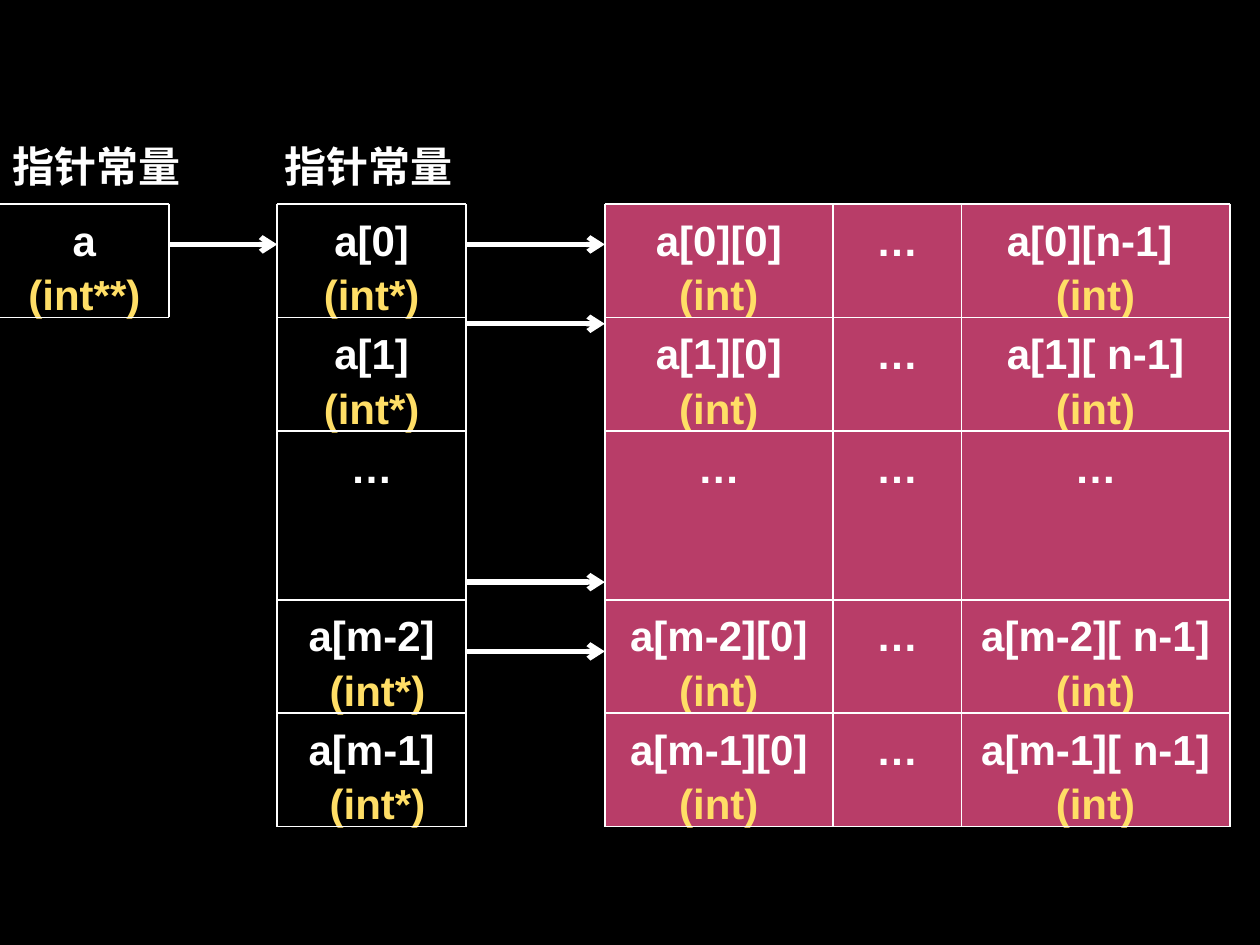
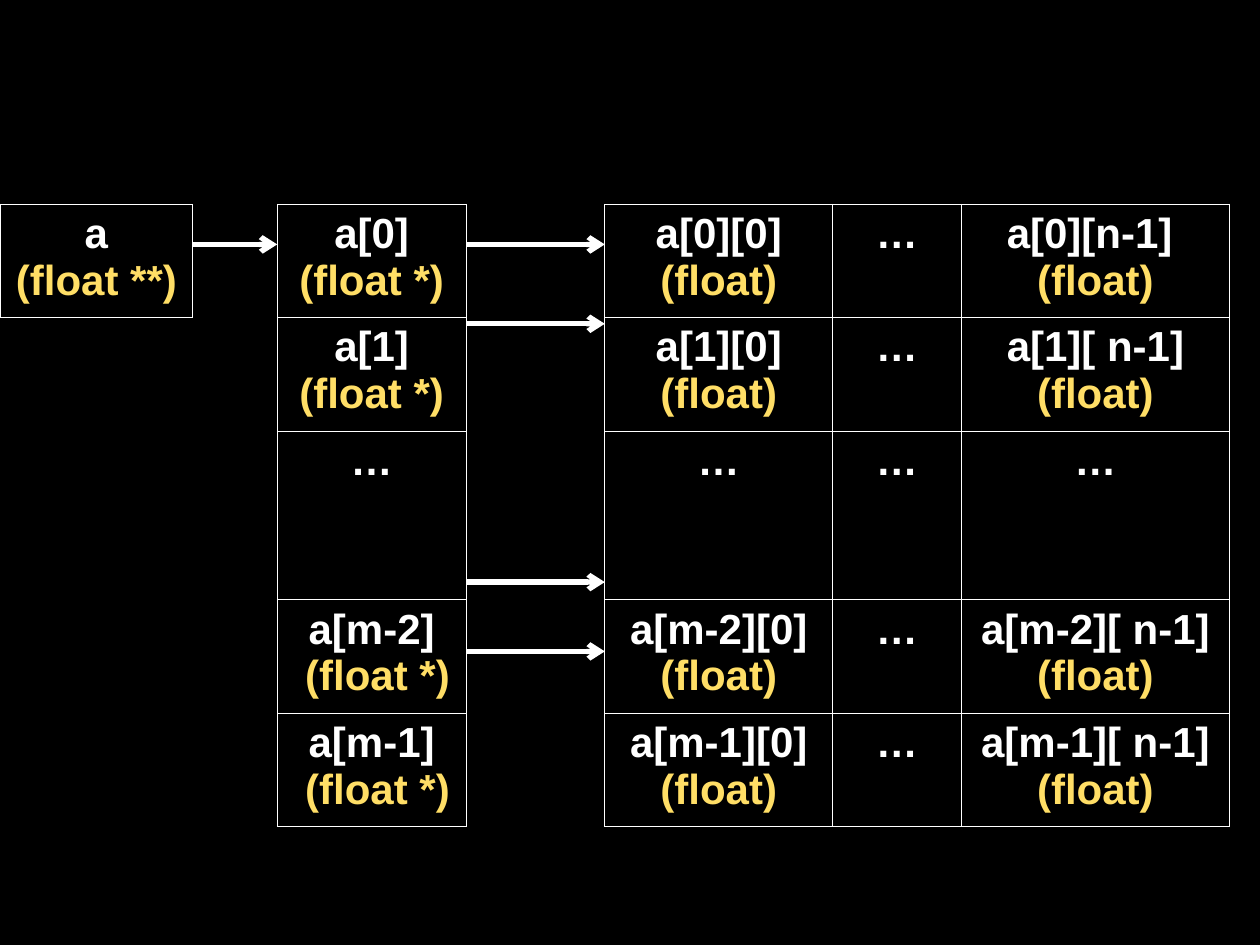
from dataclasses import dataclass
from itertools import accumulate

from lxml.etree import SubElement
from pptx import Presentation
from pptx.dml.color import RGBColor
from pptx.enum.shapes import MSO_CONNECTOR, MSO_SHAPE
from pptx.enum.text import MSO_ANCHOR, PP_ALIGN
from pptx.oxml.ns import qn
from pptx.util import Inches, Pt


@dataclass(frozen=True)
class Theme:
    background: str = "000000"
    text: str = "FFFFFF"
    type_name: str = "FFDE66"
    value_fill: str = "B83D68"
    font: str = "Arial"
    size: float = 24
    grid_width: float = 1
    border_width: float = 0.45
    arrow_width: float = 3
    loose_spacing: float = 1.08


# Shared geometry, in inches
TOP = 1.62
ROW_HEIGHTS = [0.9, 0.9, 1.34, 0.9, 0.9]
ROW_EDGES = list(accumulate(ROW_HEIGHTS, initial=TOP))
POINTER_LEFT, POINTER_WIDTH = 2.2, 1.5
POINTER_RIGHT = POINTER_LEFT + POINTER_WIDTH
VALUE_LEFT = 4.8
VALUE_WIDTHS = [1.81, 1.02, 2.13]
VALUE_EDGES = list(accumulate(VALUE_WIDTHS, initial=VALUE_LEFT))
FIRST_ARROW_Y = 1.94
ROW_ARROWS_Y = [FIRST_ARROW_Y, 2.57, 4.62, 5.17]

ROW_INDEXES = ["0", "1", None, "m-2", "m-1"]
ELLIPSIS = ("…", "")


def pointer_cell(index, type_name):
    if index is None:
        return ELLIPSIS
    gap = " " if index.startswith("m") else ""
    return f"a[{index}]\n{gap}", f"({type_name}*)"


def value_cells(index, type_name):
    """First, middle and last element of one array row."""
    if index is None:
        return [ELLIPSIS] * 3
    first, last = f"a[{index}][0] ", f"a[{index}][ n-1] "
    if index == "0":
        first, last = "a[0][0]\n", "a[0][n-1] \n"
    return [(first, f"({type_name})"), ELLIPSIS, (last, f"({type_name})")]


class Deck:
    def __init__(self, theme):
        self.theme = theme
        self.prs = Presentation()
        self.prs.slide_width, self.prs.slide_height = Inches(10), Inches(7.5)
        self.slide = None

    def new_slide(self):
        self.slide = self.prs.slides.add_slide(self.prs.slide_layouts[6])
        fill = self.slide.background.fill
        fill.solid()
        fill.fore_color.rgb = RGBColor.from_string(self.theme.background)

    def put_text(self, frame, label, type_name="", align=PP_ALIGN.CENTER, spacing=None):
        frame.word_wrap = True
        paragraph = frame.paragraphs[0]
        paragraph.alignment = align
        if spacing:
            paragraph.line_spacing = spacing
        font = paragraph.font
        font.name, font.size, font.bold = self.theme.font, Pt(self.theme.size), True
        font.color.rgb = RGBColor.from_string(self.theme.text)
        for number, line in enumerate(label.split("\n")):
            if number:
                paragraph.add_line_break()
            if line:
                run = paragraph.add_run()
                run.text = line
                run.font.color.rgb = RGBColor.from_string(self.theme.text)
        if type_name:
            run = paragraph.add_run()
            run.text = type_name
            run.font.color.rgb = RGBColor.from_string(self.theme.type_name)

    def caption(self, left, text):
        box = self.slide.shapes.add_textbox(
            Inches(left), Inches(1.07), Inches(1.61), Inches(0.5))
        self.put_text(box.text_frame, text, align=PP_ALIGN.LEFT)

    def cell(self, left, top, width, height, content, fill=None):
        area = [Inches(length) for length in (left, top, width, height)]
        if fill:
            box = self.slide.shapes.add_shape(MSO_SHAPE.RECTANGLE, *area)
            box.shadow.inherit = False
            box.fill.solid()
            box.fill.fore_color.rgb = RGBColor.from_string(fill)
            box.line.fill.background()
        else:
            box = self.slide.shapes.add_textbox(*area)
        box.text_frame.vertical_anchor = MSO_ANCHOR.TOP
        self.put_text(box.text_frame, *content, spacing=self.theme.loose_spacing)

    def line(self, x1, y1, x2, y2, width):
        line = self.slide.shapes.add_connector(
            MSO_CONNECTOR.STRAIGHT, Inches(x1), Inches(y1), Inches(x2), Inches(y2))
        line.line.color.rgb = RGBColor.from_string(self.theme.text)
        line.line.width = Pt(width)
        SubElement(line._element.spPr, qn("a:effectLst"))
        return line

    def arrow(self, x1, x2, y):
        arrow = self.line(x1, y, x2, y, self.theme.arrow_width)
        SubElement(arrow.line._get_or_add_ln(), qn("a:tailEnd"), type="arrow")

    def arrows(self, root_right):
        self.arrow(root_right, POINTER_LEFT, FIRST_ARROW_Y)
        for y in ROW_ARROWS_Y:
            self.arrow(POINTER_RIGHT, VALUE_LEFT, y)

    def rules(self, x_edges, y_edges, open_left=False):
        width = self.theme.grid_width
        for y in y_edges:
            self.line(x_edges[0], y, x_edges[-1], y, width)
        for x in x_edges[1:] if open_left else x_edges:
            self.line(x, y_edges[0], x, y_edges[-1], width)

    def border(self, cell, side, visible):
        line = SubElement(cell._tc.get_or_add_tcPr(), qn(f"a:ln{side}"),
                          w=str(Pt(self.theme.border_width)))
        if visible:
            solid = SubElement(line, qn("a:solidFill"))
            SubElement(solid, qn("a:srgbClr"), val=self.theme.text)
        else:
            SubElement(line, qn("a:noFill"))

    def table(self, left, top, widths, heights, contents):
        """Draw borders only around cells that hold content."""
        table = self.slide.shapes.add_table(
            len(heights), len(widths), Inches(left), Inches(top),
            Inches(sum(widths)), Inches(sum(heights))).table
        table.first_row = table.horz_banding = False
        for column, width in zip(table.columns, widths):
            column.width = Inches(width)
        for row, height in zip(table.rows, heights):
            row.height = Inches(height)
        filled = {(r, c) for r, row in enumerate(contents)
                  for c, content in enumerate(row) if content}
        neighbours = {"L": (0, -1), "R": (0, 1), "T": (-1, 0), "B": (1, 0)}
        for r, row in enumerate(contents):
            for c, content in enumerate(row):
                cell = table.cell(r, c)
                for side, (down, right) in neighbours.items():
                    self.border(cell, side, bool({(r, c), (r + down, c + right)} & filled))
                cell.fill.background()
                if content:
                    self.put_text(cell.text_frame, *content)


def int_slide(deck):
    deck.new_slide()
    root_width = 1.34

    # Array name, row pointers and values
    deck.cell(0, TOP, root_width, ROW_HEIGHTS[0], ("a\n", "(int**)"))
    for index, top, height in zip(ROW_INDEXES, ROW_EDGES, ROW_HEIGHTS):
        deck.cell(POINTER_LEFT, top, POINTER_WIDTH, height, pointer_cell(index, "int"))
        for left, width, content in zip(VALUE_EDGES, VALUE_WIDTHS, value_cells(index, "int")):
            deck.cell(left, top, width, height, content, deck.theme.value_fill)

    # Grid lines; the array name is open on the slide's edge
    deck.rules([0, root_width], ROW_EDGES[:2], open_left=True)
    deck.rules([POINTER_LEFT, POINTER_RIGHT], ROW_EDGES)
    deck.rules(VALUE_EDGES, ROW_EDGES)

    deck.arrows(root_width)
    for left in (0, 2.16):
        deck.caption(left, "指针常量")


def float_slide(deck):
    deck.new_slide()
    root_width = 1.53

    # One table whose empty columns leave room for the arrows
    widths = [root_width, POINTER_LEFT - root_width, POINTER_WIDTH,
              VALUE_LEFT - POINTER_RIGHT, *VALUE_WIDTHS]
    contents = [[None, None, pointer_cell(index, "float "), None, *value_cells(index, "float")]
                for index in ROW_INDEXES]
    contents[0][0] = ("a\n", "(float **)")
    deck.table(0, TOP, widths, ROW_HEIGHTS, contents)
    deck.arrows(root_width)


def main():
    deck = Deck(Theme())
    int_slide(deck)
    float_slide(deck)
    deck.prs.save("out.pptx")


if __name__ == "__main__":
    main()
